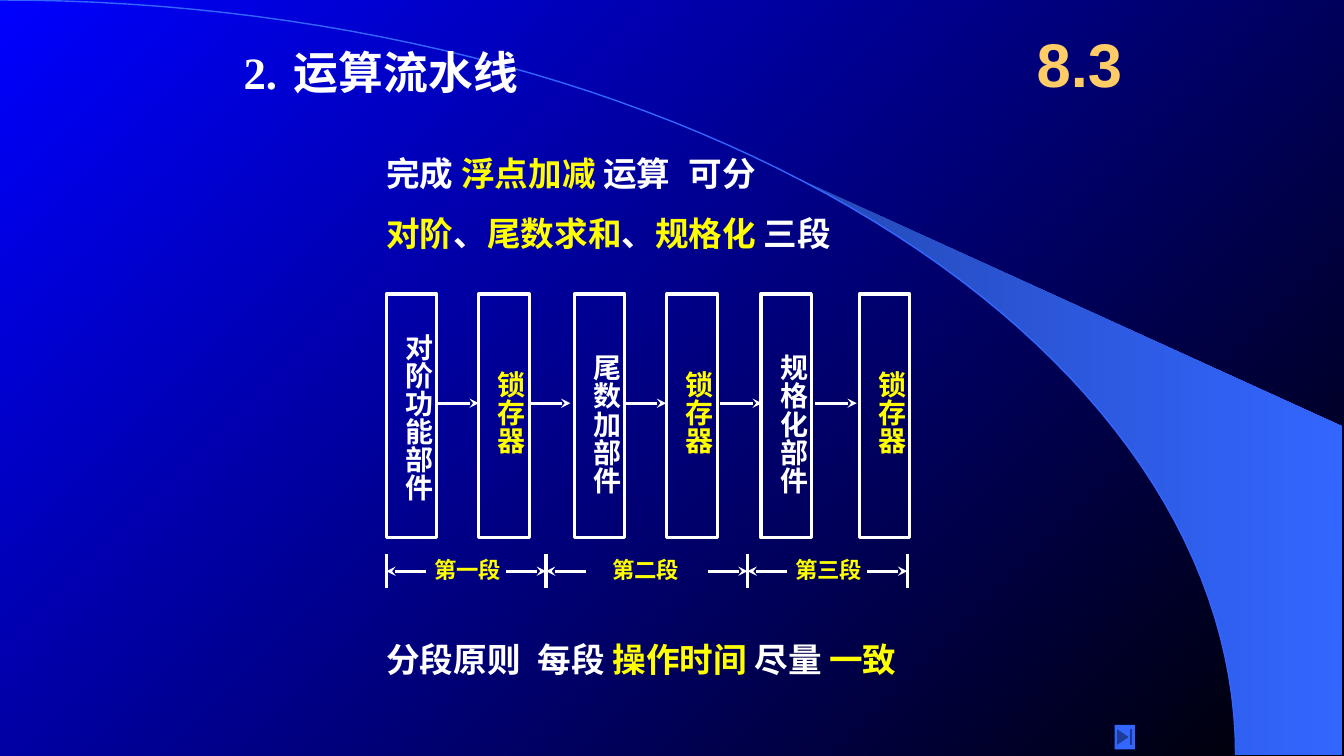
import math
import pptx
import pptx.util
import pptx.dml.color
import pptx.enum.shapes
import pptx.enum.text
import pptx.oxml.ns
import lxml.etree

RGB = pptx.dml.color.RGBColor
WHITE = RGB(0xFF, 0xFF, 0xFF)
YELLOW = RGB(0xFF, 0xFF, 0x00)
GOLD = RGB(0xFF, 0xCC, 0x66)
NAVY = RGB(0x24, 0x49, 0xB6)
BLUE = RGB(0x33, 0x66, 0xFF)
DEEP = RGB(0x00, 0x00, 0xFF)
BLACK = RGB(0x00, 0x00, 0x00)
KIND = pptx.enum.shapes.MSO_SHAPE
ALIGN = pptx.enum.text.PP_ALIGN
FIT = pptx.enum.text.MSO_AUTO_SIZE
ANCHOR = pptx.enum.text.MSO_ANCHOR
qn = pptx.oxml.ns.qn

COLS, ROWS = 160, 90
CELL = pptx.util.Inches(1) // 12

deck = pptx.Presentation()
deck.slide_width, deck.slide_height = COLS * CELL, ROWS * CELL
slide = deck.slides.add_slide(deck.slide_layouts[1])
shapes = slide.shapes


def write(text, at, size=24, tone=WHITE, face="Times New Roman", holder=None,
          align=ALIGN.LEFT, space=1.0, tab=None, side=0, small=False, vert=None):
    left, top, wide, high = [round(n * CELL) for n in at]
    box = holder or shapes.add_textbox(left, top, wide, high)
    box.left, box.top, box.width, box.height = left, top, wide, high
    frame = box.text_frame
    frame.word_wrap = not small
    frame.auto_size = FIT.SHAPE_TO_FIT_TEXT if small else FIT.NONE
    frame.vertical_anchor = ANCHOR.TOP if small else ANCHOR.MIDDLE
    frame.margin_left = frame.margin_right = pptx.util.Inches(side)
    frame.margin_top = frame.margin_bottom = pptx.util.Inches(0.05)
    if vert:
        frame._txBody.bodyPr.set("vert", vert)
    for row, words in enumerate(text.split("\n")):
        para = frame.add_paragraph() if row else frame.paragraphs[0]
        props = para._p.get_or_add_pPr()
        props.set("marL", "0")
        props.set("indent", "0")
        lxml.etree.SubElement(props, qn("a:buNone"))
        if tab:
            stops = lxml.etree.SubElement(props, qn("a:tabLst"))
            lxml.etree.SubElement(stops, qn("a:tab"), pos=str(round(tab * CELL)), algn="l")
        para.alignment = align
        para.line_spacing = space
        para.space_before = pptx.util.Pt(0)
        for part, piece in enumerate(words.split("*")):
            if piece:
                run = para.add_run()
                run.text = piece
                run.font.name = face
                run.font.size = pptx.util.Pt(size)
                run.font.bold = True
                run.font.color.rgb = YELLOW if part % 2 else tone


def draw(x1, y1, x2, y2, arrow=True):
    ends = [round(n * CELL) for n in (x1, y1, x2, y2)]
    line = shapes.add_connector(pptx.enum.shapes.MSO_CONNECTOR.STRAIGHT, *ends)
    line.line.color.rgb = WHITE
    line.line.width = pptx.util.Pt(2.25)
    if arrow:
        lxml.etree.SubElement(line.line._get_or_add_ln(), qn("a:tailEnd"), type="stealth")
    lxml.etree.SubElement(line._element.spPr, qn("a:effectLst"))


def_fill = slide.background.fill
def_fill.gradient()
def_fill.gradient_angle = 315
for stop, tone in zip(def_fill.gradient_stops, (DEEP, BLACK)):
    stop.color.rgb = tone

STEPS = 60
curves = []
for start, tip in ((0.7, [(159.75, 89.9), (159.75, 50.75)]), (0, [])):
    turns = [start + (math.pi / 2 - start) * n / STEPS for n in range(STEPS + 1)]
    dots = [(147.1 * math.sin(t), 89.9 * (1 - math.cos(t))) for t in turns] + tip
    dots = [(x * CELL, y * CELL) for x, y in dots]
    path = shapes.build_freeform(*dots[0])
    path.add_line_segments(dots[1:], close=bool(tip))
    curve = path.convert_to_shape()
    curve.shadow.inherit = False
    shapes._spTree.insert(2 + len(curves), curve._element)
    curves.append(curve)
swoosh, arc = curves
swoosh.fill.gradient()
swoosh.fill.gradient_angle = 0
for stop, tone in zip(swoosh.fill.gradient_stops, (NAVY, BLUE)):
    stop.color.rgb = tone
swoosh.line.fill.background()
arc.fill.background()
arc.line.color.rgb = BLUE
arc.line.width = pptx.util.Pt(1)

write("2.\t运算流水线", (29, 5, 44, 7), size=32, tab=7.9, holder=shapes.title)
write("完成 *浮点加减 *运算\t可分\n*对阶*、*尾数求和*、*规格化 *三段",
      (46, 15, 85, 16), space=1.5, tab=35.6, holder=slide.placeholders[1])
write("分段原则\t每段 *操作时间 *尽量 *一致", (46, 75, 75, 7), tab=20.4)
write("8.3", (121, 2, 15, 11), size=44, tone=GOLD, face="Arial", align=ALIGN.CENTER, side=0.1)

units = [
    (46, 38.6, "对阶功能部件"), (57, 43, "*锁存器"),
    (68.4, 41, "尾数加部件"), (79.4, 43, "*锁存器"),
    (90.6, 41, "规格化部件"), (102.3, 43, "*锁存器"),
]
for left, top, name in units:
    high = 3.35 * len(name.strip("*")) + 1.3
    write(name, (left - 0.1, top, 6.5, high), size=20, side=0.1, small=True, vert="eaVert")
    block = shapes.add_shape(KIND.RECTANGLE, *[round(n * CELL) for n in (left, 35, 6, 29)])
    block.shadow.inherit = False
    block.fill.background()
    block.line.color.rgb = WHITE
    block.line.width = pptx.util.Pt(2.25)

for left in (52, 62.9, 74.3, 85.7, 97):
    draw(left, 48, left + 5, 48)

ticks = (46, 65, 89, 108)
for tick in ticks:
    draw(tick, 66, tick, 70, arrow=False)
stages = zip(ticks, ticks[1:], (50.5, 71.7, 93.5), ("第一段", "第二段", "第三段"))
for left, right, spot, name in stages:
    draw(left + 4.75, 68, left, 68)
    draw(right - 4.75, 68, right, 68)
    write(name, (spot, 65.6, 10.4, 4.4), size=16, tone=YELLOW, side=0.1, small=True)

button = shapes.add_shape(KIND.ACTION_BUTTON_END,
                          *[round(n * CELL) for n in (132.7, 86.3, 2.4, 2.9)])
button.shadow.inherit = False
button.fill.solid()
button.fill.fore_color.rgb = BLUE
button.line.fill.background()

deck.save("out.pptx")
